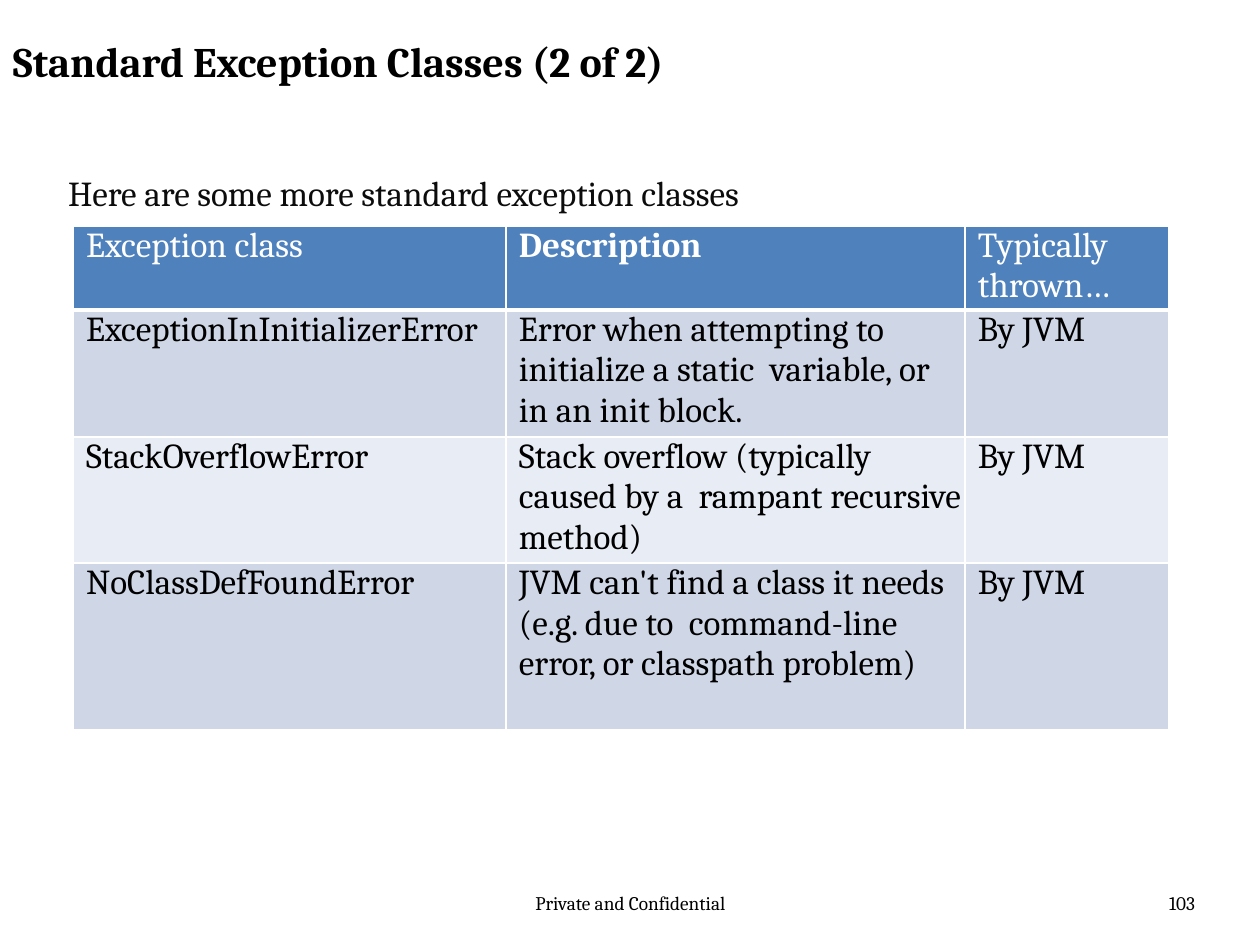
import pptx
import pptx.dml.color
import pptx.enum.text
import pptx.oxml.ns
import pptx.util
from lxml import etree

EMU_PER_PX = 914400 / 126
ALIGN = pptx.enum.text.PP_ALIGN

COLUMN_WIDTHS = [433, 459, 204]
ROW_HEIGHTS = [82, 127, 126, 167]
EXCEPTION_ROWS = [
    ["Exception class", "Description", "Typically thrown…"],
    ["ExceptionInInitializerError",
     "Error when attempting to initialize a static  variable, or in an init block.",
     "By JVM"],
    ["StackOverflowError",
     "Stack overflow (typically caused by a  rampant recursive method)",
     "By JVM"],
    ["NoClassDefFoundError",
     "JVM can't find a class it needs (e.g. due to  command-line error, or classpath problem)",
     "By JVM"],
]


def px(length):
    return pptx.util.Emu(round(length * EMU_PER_PX))


def color(hex_string):
    return pptx.dml.color.RGBColor.from_string(hex_string)


def write_text(frame, text, size=20, font_color="000000", bold=False,
               align=ALIGN.LEFT, margins=(0, 0, 0, 0)):
    """Fill a text frame; margins are left, top, right, bottom in px."""
    frame.word_wrap = True
    frame.vertical_anchor = pptx.enum.text.MSO_ANCHOR.TOP
    (frame.margin_left, frame.margin_top,
     frame.margin_right, frame.margin_bottom) = map(px, margins)
    paragraph = frame.paragraphs[0]
    paragraph.alignment = align
    run = paragraph.add_run()
    run.text = text
    run.font.name = SlideBuilder.font_name
    run.font.size = pptx.util.Pt(size)
    run.font.bold = bold
    run.font.color.rgb = color(font_color)


def add_border(cell, side, width):
    """Draw a white line, width in points, on side L, R, T or B of a cell."""
    properties = cell._tc.get_or_add_tcPr()
    line = etree.SubElement(properties, pptx.oxml.ns.qn(f"a:ln{side}"),
                            w=str(pptx.util.Pt(width)))
    fill = etree.SubElement(line, pptx.oxml.ns.qn("a:solidFill"))
    etree.SubElement(fill, pptx.oxml.ns.qn("a:srgbClr"), val="FFFFFF")


class SlideBuilder:
    """Holds the slide and its style."""
    font_name = "Cambria"
    box_margins = (13, 6, 13, 6)
    header_fill = "4F81BD"
    band_fills = ["E8ECF4", "CFD7E7"]

    def __init__(self, slide):
        self.slide = slide

    def title(self, text, left, top, width, height):
        shape = self.slide.shapes.title
        shape.left, shape.top, shape.width, shape.height = map(px, (left, top, width, height))
        shape.text_frame.auto_size = pptx.enum.text.MSO_AUTO_SIZE.NONE
        write_text(shape.text_frame, text, size=24, bold=True, margins=self.box_margins)

    def text(self, text, left, top, width, height, **text_format):
        shape = self.slide.shapes.add_textbox(*map(px, (left, top, width, height)))
        write_text(shape.text_frame, text, **text_format)

    def table(self, rows, left, top, widths, heights):
        shape = self.slide.shapes.add_table(
            len(rows), len(widths), px(left), px(top), px(sum(widths)), px(sum(heights)))
        table = shape.table
        table.first_row = table.horz_banding = False
        for column, width in zip(table.columns, widths):
            column.width = px(width)
        for row_index, (row, height) in enumerate(zip(rows, heights)):
            table.rows[row_index].height = px(height)
            for column_index, text in enumerate(row):
                self.cell(table.cell(row_index, column_index), text, row_index)

    def cell(self, cell, text, row_index):
        header = row_index == 0
        cell.margin_left = px(13)
        cell.margin_top = cell.margin_right = cell.margin_bottom = 0
        write_cell = cell.text_frame.paragraphs[0].add_run()
        write_cell.text = text
        write_cell.font.name = self.font_name
        write_cell.font.size = pptx.util.Pt(20)
        write_cell.font.bold = text == "Description"
        write_cell.font.color.rgb = color("FFFFFF" if header else "000000")
        widths = {"L": 1, "R": 1, "T": 3 if row_index == 1 else 1, "B": 3 if header else 1}
        for side, width in widths.items():
            add_border(cell, side, width)
        cell.fill.solid()
        cell.fill.fore_color.rgb = color(
            self.header_fill if header else self.band_fills[row_index % 2])


def main():
    presentation = pptx.Presentation()
    presentation.slide_width, presentation.slide_height = px(1260), px(945)
    builder = SlideBuilder(presentation.slides.add_slide(presentation.slide_layouts[5]))
    footer_format = {"size": 11, "margins": builder.box_margins}

    builder.title("Standard Exception Classes (2 of 2)", 0, 29, 956, 57)
    builder.text("Here are some more standard exception classes", 68, 171, 939, 43,
                 font_color="0C0C0C")
    builder.table(EXCEPTION_ROWS, 73, 226, COLUMN_WIDTHS, ROW_HEIGHTS)
    builder.text("Private and Confidential", 431, 885, 399, 50,
                 align=ALIGN.CENTER, **footer_format)
    builder.text("103", 914, 885, 294, 50, align=ALIGN.RIGHT, **footer_format)
    presentation.save("out.pptx")


if __name__ == "__main__":
    main()
